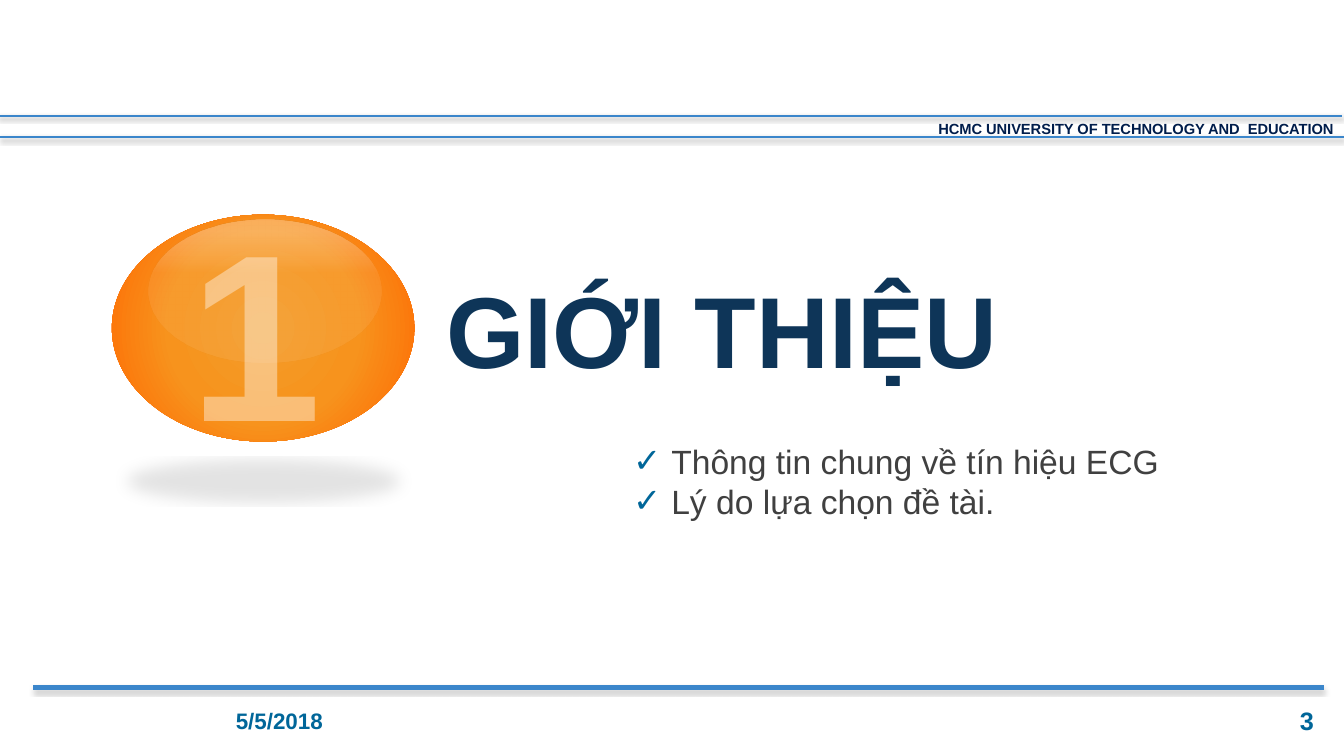
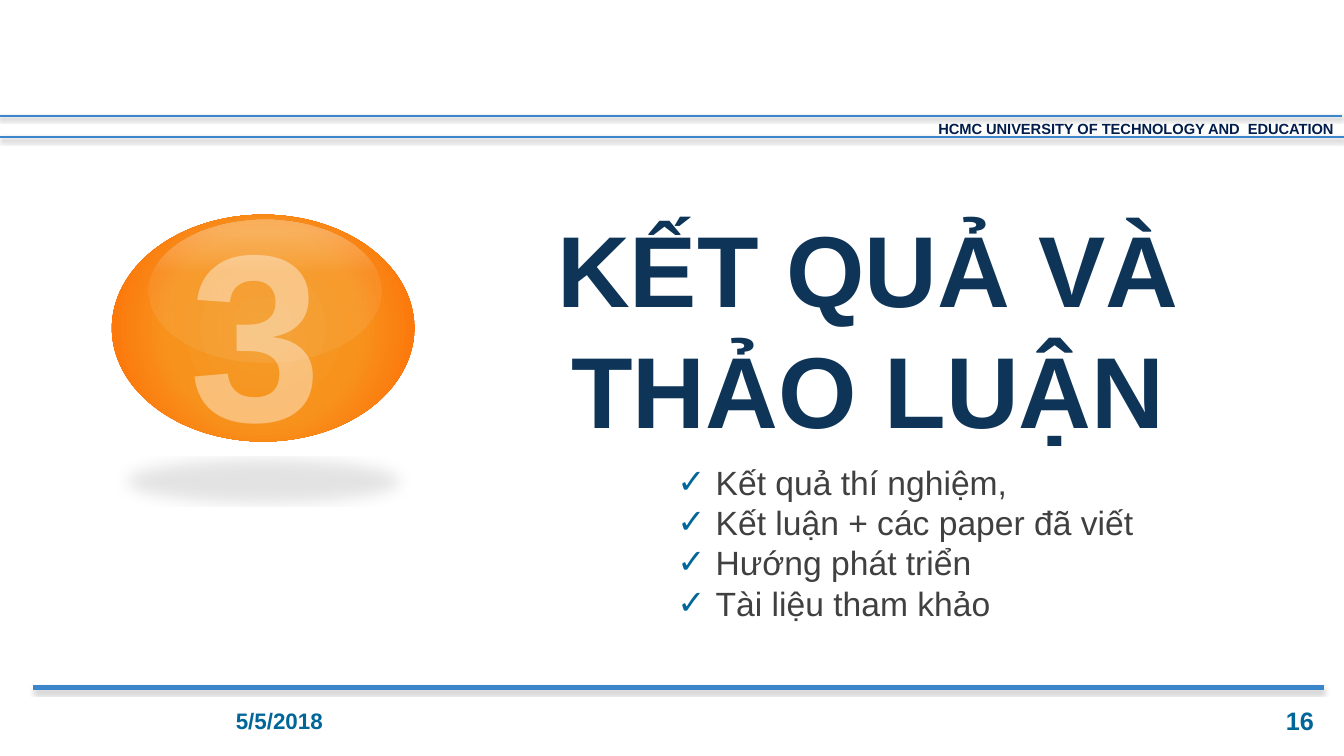
from lxml import etree
from pptx import Presentation
from pptx import util as u
from pptx.dml.color import RGBColor
from pptx.enum import shapes, text
from pptx.oxml import parse_xml
from pptx.oxml.ns import nsdecls, qn

PX = 9144  # EMU per px: 100 px to the inch
FONT = "Arial"
COLORS = {
    "rule": "3B86CB",
    "school": "001D4B",
    "accent": "006699",
    "title": "0E3558",
    "body": "404040",
    "white": "FFFFFF",
    "black": "000000",
}
BALL_STOPS = [(0, "F39C29", 100), (50, "F7931D", 100), (100, "FF6600", 100)]
GLOSS_STOPS = [(at, COLORS["white"], alpha) for at, alpha in ((63, 7), (72, 15), (91, 28))]
RADIAL = '<a:path path="circle"><a:fillToRect l="50000" t="50000" r="50000" b="50000"/></a:path>'
UPWARD = '<a:lin ang="16200000" scaled="0"/>'
LEFT, CENTER, RIGHT = text.PP_ALIGN.LEFT, text.PP_ALIGN.CENTER, text.PP_ALIGN.RIGHT
TOP, MIDDLE = text.MSO_ANCHOR.TOP, text.MSO_ANCHOR.MIDDLE


def px(*lengths):
    return [length * PX for length in lengths]


class Deck:
    def __init__(self, width, height):
        self.prs = Presentation()
        self.prs.slide_width, self.prs.slide_height = px(width, height)
        self.slide = None

    def new_slide(self):
        self.slide = self.prs.slides.add_slide(self.prs.slide_layouts[5])

    def style(self, paragraph, size, color, bold, align=LEFT):
        paragraph.alignment = align
        for run in paragraph.runs:
            font = run.font
            font.name, font.size, font.bold = FONT, u.Pt(size), bold
            font.color.rgb = RGBColor.from_string(COLORS[color])

    def label(self, box, words, size, color, bold=True, align=LEFT, anchor=TOP):
        frame = self.slide.shapes.add_textbox(*px(*box)).text_frame
        frame.word_wrap = True
        frame.vertical_anchor = anchor
        frame.text = words
        self.style(frame.paragraphs[0], size, color, bold, align)
        return frame

    def title(self, words, align):
        title = self.slide.shapes.title
        title.left, title.top, title.width, title.height = px(433, 218, 856, 215)
        frame = title.text_frame
        frame.word_wrap = True
        frame.auto_size = text.MSO_AUTO_SIZE.NONE
        frame.vertical_anchor = MIDDLE
        frame.text = words
        self.style(frame.paragraphs[0], 72, "title", True, align)

    def shadow(self, effects, alpha, blur, distance, scale=""):
        effects.append(parse_xml(
            f'<a:outerShdw {nsdecls("a")} blurRad="{u.Pt(blur)}" dist="{u.Pt(distance)}" '
            f'dir="5400000" {scale} rotWithShape="0"><a:srgbClr val="{COLORS["black"]}">'
            f'<a:alpha val="{alpha * 1000}"/></a:srgbClr></a:outerShdw>'))

    def rule(self, left, right, y, weight, alpha, distance):
        line = self.slide.shapes.add_connector(
            shapes.MSO_CONNECTOR.STRAIGHT, *px(left, y, right, y))
        line.line.color.rgb = RGBColor.from_string(COLORS["rule"])
        line.line.width = u.Pt(weight)
        effects = etree.SubElement(line._element.spPr, qn("a:effectLst"))
        self.shadow(effects, alpha, 3.1, distance)

    def ellipse(self, box, stops, direction):
        oval = self.slide.shapes.add_shape(shapes.MSO_SHAPE.OVAL, *px(*box))
        oval.line.fill.background()
        oval.shadow.inherit = False
        marks = "".join(
            f'<a:gs pos="{at * 1000}"><a:srgbClr val="{color}">'
            f'<a:alpha val="{alpha * 1000}"/></a:srgbClr></a:gs>'
            for at, color, alpha in stops)
        gradient = parse_xml(f'<a:gradFill {nsdecls("a")} rotWithShape="1">'
                             f'<a:gsLst>{marks}</a:gsLst>{direction}</a:gradFill>')
        oval._element.spPr.find(qn("a:prstGeom")).addnext(gradient)
        return oval

    def ball(self):
        ball = self.ellipse((111, 213, 300, 225), BALL_STOPS, RADIAL)
        # Flattened, mirrored shadow on the floor
        self.shadow(ball._element.spPr.find(qn("a:effectLst")), 11, 12, 13,
                    'sx="90000" sy="-19000"')
        self.ellipse((147, 218, 231, 142), GLOSS_STOPS, UPWARD)

    def numeral(self, digit):
        frame = self.label((178, 177, 133, 296), digit, 170, "white")
        color = frame.paragraphs[0].runs[0]._r.rPr.find(f'.//{qn("a:srgbClr")}')
        etree.SubElement(color, qn("a:alpha"), val="40000")

    def checklist(self, left, top, topics):
        frame = self.label((left, top, 1142, 41), "\n".join(topics), 24, "body", bold=False)
        for paragraph in frame.paragraphs:
            props = paragraph._p.get_or_add_pPr()
            props.set("marL", str(38 * PX))
            props.set("indent", str(-38 * PX))
            color = etree.SubElement(props, qn("a:buClr"))
            etree.SubElement(color, qn("a:srgbClr"), val=COLORS["accent"])
            etree.SubElement(props, qn("a:buFont"), typeface=FONT)
            etree.SubElement(props, qn("a:buChar"), char="✓")
            self.style(paragraph, 24, "body", False)

    def bands(self, page):
        # Header rules and school name
        self.rule(-2, 1331, 115, 2, 38, 1.6)
        self.rule(0, 1333, 136, 2, 38, 1.6)
        school = self.label((224, 119, 1109, 22),
                            "HCMC UNIVERSITY OF TECHNOLOGY AND  EDUCATION",
                            10.5, "school", align=RIGHT)
        school.margin_left = school.margin_top = 0
        # Footer rule, date and page number
        self.rule(33, 1313, 682, 3, 35, 1.8)
        self.label((224, 695, 311, 40), "5/5/2018", 16, "accent", anchor=MIDDLE)
        self.label((1002, 695, 311, 40), str(page), 18, "accent", align=RIGHT, anchor=MIDDLE)

    def section(self, page, digit, heading, align, list_at, topics):
        self.new_slide()
        self.bands(page)
        self.ball()
        self.title(heading, align)
        self.numeral(digit)
        self.checklist(*list_at, topics)


def main():
    deck = Deck(1333, 750)
    # Introduction
    deck.section(3, "1", "GIỚI THIỆU", LEFT, (618, 432),
                 ["Thông tin chung về tín hiệu ECG", "Lý do lựa chọn đề tài."])
    # Results and discussion
    deck.section(16, "3", "KẾT QUẢ VÀ THẢO LUẬN", CENTER, (662, 453),
                 ["Kết quả thí nghiệm,", "Kết luận + các paper đã viết",
                  "Hướng phát triển", "Tài liệu tham khảo"])
    deck.prs.save("out.pptx")


if __name__ == "__main__":
    main()
